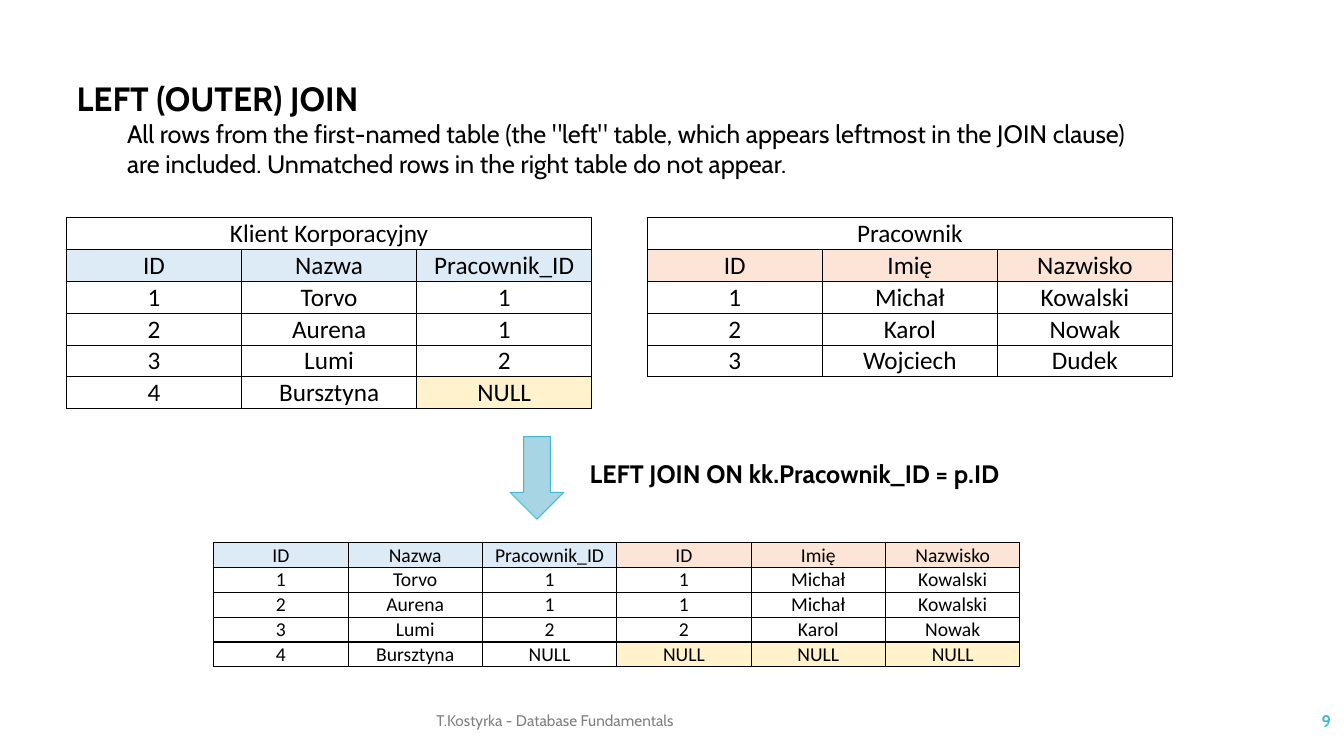
"""Build the LEFT (OUTER) JOIN slide with two source tables and their joined result."""
from dataclasses import dataclass

from lxml import etree
from pptx import Presentation
from pptx.dml.color import RGBColor
from pptx.enum.shapes import MSO_SHAPE
from pptx.enum.text import MSO_ANCHOR, MSO_AUTO_SIZE, PP_ALIGN
from pptx.oxml.ns import qn
from pptx.util import Inches, Pt

DOWN_ARROW = MSO_SHAPE.DOWN_ARROW
TOP, MIDDLE, BOTTOM = MSO_ANCHOR.TOP, MSO_ANCHOR.MIDDLE, MSO_ANCHOR.BOTTOM
LEFT, CENTER, RIGHT, JUSTIFY = PP_ALIGN.LEFT, PP_ALIGN.CENTER, PP_ALIGN.RIGHT, PP_ALIGN.JUSTIFY
NO_AUTOFIT = MSO_AUTO_SIZE.NONE

BLACK = RGBColor(0x00, 0x00, 0x00)
GRAY = RGBColor(0x80, 0x80, 0x80)
TEAL = RGBColor(0x40, 0xBA, 0xD2)
PALE_TEAL = RGBColor(0xA7, 0xD5, 0xE3)
BLUE = RGBColor(0xDD, 0xEB, 0xF7)
PEACH = RGBColor(0xFC, 0xE4, 0xD6)
YELLOW = RGBColor(0xFF, 0xF2, 0xCC)

SLIDE_WIDTH, SLIDE_HEIGHT = Inches(13.33), Inches(7.5)
THIN, HEAVY = Pt(0.5), Pt(1)


@dataclass(frozen=True)
class Area:
    """A rectangle in percent of the slide's width and height."""
    left: float
    top: float
    width: float
    height: float

    def lengths(self) -> tuple[int, int, int, int]:
        """Return left, top, width and height as slide lengths."""
        return (int(SLIDE_WIDTH * self.left / 100), int(SLIDE_HEIGHT * self.top / 100),
                int(SLIDE_WIDTH * self.width / 100), int(SLIDE_HEIGHT * self.height / 100))


@dataclass(frozen=True)
class Label:
    """A line of text with its place and format."""
    text: str
    area: Area
    font: dict
    align: int = LEFT
    anchor: int = TOP


@dataclass(frozen=True)
class Grid:
    """A database table with its header colours and heavy rules."""
    area: Area
    size: int
    rows: tuple[tuple[str, ...], ...]
    header_fills: tuple[RGBColor, ...]
    heavy_rows: tuple[int, ...]
    heavy_columns: tuple[int, ...]
    caption: str = ""
    null_columns: tuple[int, ...] = ()


def font_format(size: float, color: RGBColor = BLACK, bold: bool = False,
                name: str = "Cabin") -> dict:
    """Return the values to set on a font."""
    return {"name": name, "size": Pt(size), "bold": bold, "color": color}


CLIENT_HEADER = ("ID", "Nazwa", "Pracownik_ID")
EMPLOYEE_HEADER = ("ID", "Imię", "Nazwisko")
CLIENTS = (("1", "Torvo", "1"), ("2", "Aurena", "1"), ("3", "Lumi", "2"), ("4", "Bursztyna", "NULL"))
EMPLOYEES = (("1", "Michał", "Kowalski"), ("2", "Karol", "Nowak"), ("3", "Wojciech", "Dudek"))
EMPLOYEE_BY_ID = {row[0]: row for row in EMPLOYEES}
JOINED = tuple(row + EMPLOYEE_BY_ID.get(row[2], ("NULL",) * 3) for row in CLIENTS)

GRIDS = (
    Grid(Area(4.95, 28.8, 39.08, 24.84), 18, (CLIENT_HEADER, *CLIENTS), (BLUE,) * 3,
         (0, 1, 2, 6), (0, 3), "Klient Korporacyjny", (2,)),
    Grid(Area(48.16, 28.8, 39.08, 20.7), 18, (EMPLOYEE_HEADER, *EMPLOYEES), (PEACH,) * 3,
         (0, 1, 2, 5), (0, 3), "Pracownik"),
    Grid(Area(15.9, 71.75, 60, 16.1), 14, (CLIENT_HEADER + EMPLOYEE_HEADER, *JOINED),
         (BLUE,) * 3 + (PEACH,) * 3, (0, 1, 4, 5), (0, 3, 6), null_columns=(3, 4, 5)),
)
HEADING = Label("LEFT (OUTER) JOIN", Area(4.95, 9.6, 82, 6), font_format(24, bold=True), JUSTIFY)
DESCRIPTION = Label(
    'All rows from the first-named table (the "left" table, which appears leftmost in the JOIN '
    "clause) are included. Unmatched rows in the right table do not appear.",
    Area(4.95, 15, 82, 9.4), font_format(18), LEFT)
LABELS = (
    Label("9", Area(87.25, 92.67, 12.53, 5.33), font_format(12, TEAL, True), RIGHT, MIDDLE),
    Label("T.Kostyrka - Database Fundamentals", Area(31.73, 92.67, 48.46, 5.33),
          font_format(11, GRAY), LEFT, MIDDLE),
    Label("LEFT JOIN ON kk.Pracownik_ID = p.ID", Area(43.14, 60, 43.81, 5.33),
          font_format(18, bold=True)),
)
ARROW_AREA = Area(37.96, 57.75, 3.98, 10.93)


def format_font(font, values: dict) -> None:
    """Set the font attributes, with the colour as a solid fill."""
    for key, value in values.items():
        if key == "color":
            font.color.rgb = value
        else:
            setattr(font, key, value)


def fill_box(box, label: Label) -> None:
    """Place a text shape and write its label."""
    for key, value in zip(("left", "top", "width", "height"), label.area.lengths()):
        setattr(box, key, value)
    frame = box.text_frame
    settings = {"text": label.text, "word_wrap": True, "auto_size": NO_AUTOFIT,
                "vertical_anchor": label.anchor}
    for key, value in settings.items():
        setattr(frame, key, value)
    para = frame.paragraphs[0]
    para.alignment = label.align
    format_font(para.runs[0].font, label.font)


def indent_description(box) -> None:
    """Replace the bullet of the body text by a plain indent."""
    para = box.text_frame.paragraphs[0]
    properties = para._p.get_or_add_pPr()
    properties.set("marL", str(Inches(0.5)))
    properties.set("indent", "0")
    etree.SubElement(properties, qn("a:buNone"))
    para.space_before = Pt(0)


def draw_borders(cell, weights: dict[str, int]) -> None:
    """Add black borders of the given weights to a cell."""
    properties = cell._tc.get_or_add_tcPr()
    for side, weight in weights.items():
        line = etree.SubElement(properties, qn(f"a:ln{side}"), w=str(weight))
        fill = etree.SubElement(line, qn("a:solidFill"))
        etree.SubElement(fill, qn("a:srgbClr"), val=str(BLACK))


def draw_cell(cell, text: str, size: int, fill: RGBColor | None, weights: dict[str, int]) -> None:
    """Write and format one table cell."""
    draw_borders(cell, weights)
    margin = Inches(0.01)
    settings = {"margin_left": margin, "margin_right": margin, "margin_top": margin,
                "margin_bottom": 0, "vertical_anchor": BOTTOM}
    for key, value in settings.items():
        setattr(cell, key, value)
    if fill is None:
        cell.fill.background()
    else:
        cell.fill.solid()
        cell.fill.fore_color.rgb = fill
    para = cell.text_frame.paragraphs[0]
    para.alignment = CENTER
    format_font(para.font, font_format(size, name="Calibri"))
    if text:
        span = para.add_run()
        span.text = text
        format_font(span.font, font_format(size, name="Calibri"))


def draw_grid(page, grid: Grid) -> None:
    """Draw a database table with an optional merged caption row."""
    columns = len(grid.header_fills)
    captions = ((grid.caption,) + ("",) * (columns - 1),) if grid.caption else ()
    rows = captions + grid.rows
    header_row = len(captions)
    left, top, width, height = grid.area.lengths()
    table = page.shapes.add_table(len(rows), columns, left, top, width, height).table
    table.first_row = table.horz_banding = False
    for column in table.columns:
        column.width = width // columns
    for row in table.rows:
        row.height = height // len(rows)
    if captions:
        table.cell(0, 0).merge(table.cell(0, columns - 1))
    for r, texts in enumerate(rows):
        for c, text in enumerate(texts):
            fill = grid.header_fills[c] if r == header_row else None
            if text == "NULL" and c in grid.null_columns:
                fill = YELLOW
            heavy = {"L": c in grid.heavy_columns or r < header_row,
                     "R": c + 1 in grid.heavy_columns or r < header_row,
                     "T": r in grid.heavy_rows, "B": r + 1 in grid.heavy_rows}
            weights = {side: HEAVY if bold else THIN for side, bold in heavy.items()}
            draw_cell(table.cell(r, c), text, grid.size, fill, weights)


def draw_arrow(page, area: Area) -> None:
    """Draw the arrow from the source tables to the result."""
    arrow = page.shapes.add_shape(DOWN_ARROW, *area.lengths())
    arrow.shadow.inherit = False
    arrow.fill.solid()
    arrow.fill.fore_color.rgb = PALE_TEAL
    arrow.line.color.rgb = TEAL
    arrow.line.width = Pt(0.75)


def main() -> None:
    """Build and save the deck."""
    deck = Presentation()
    deck.slide_width, deck.slide_height = SLIDE_WIDTH, SLIDE_HEIGHT
    page = deck.slides.add_slide(deck.slide_layouts[1])
    fill_box(page.shapes.title, HEADING)
    fill_box(page.placeholders[1], DESCRIPTION)
    indent_description(page.placeholders[1])
    for label in LABELS:
        fill_box(page.shapes.add_textbox(*label.area.lengths()), label)
    for grid in GRIDS:
        draw_grid(page, grid)
    draw_arrow(page, ARROW_AREA)
    deck.save("out.pptx")


if __name__ == "__main__":
    main()
